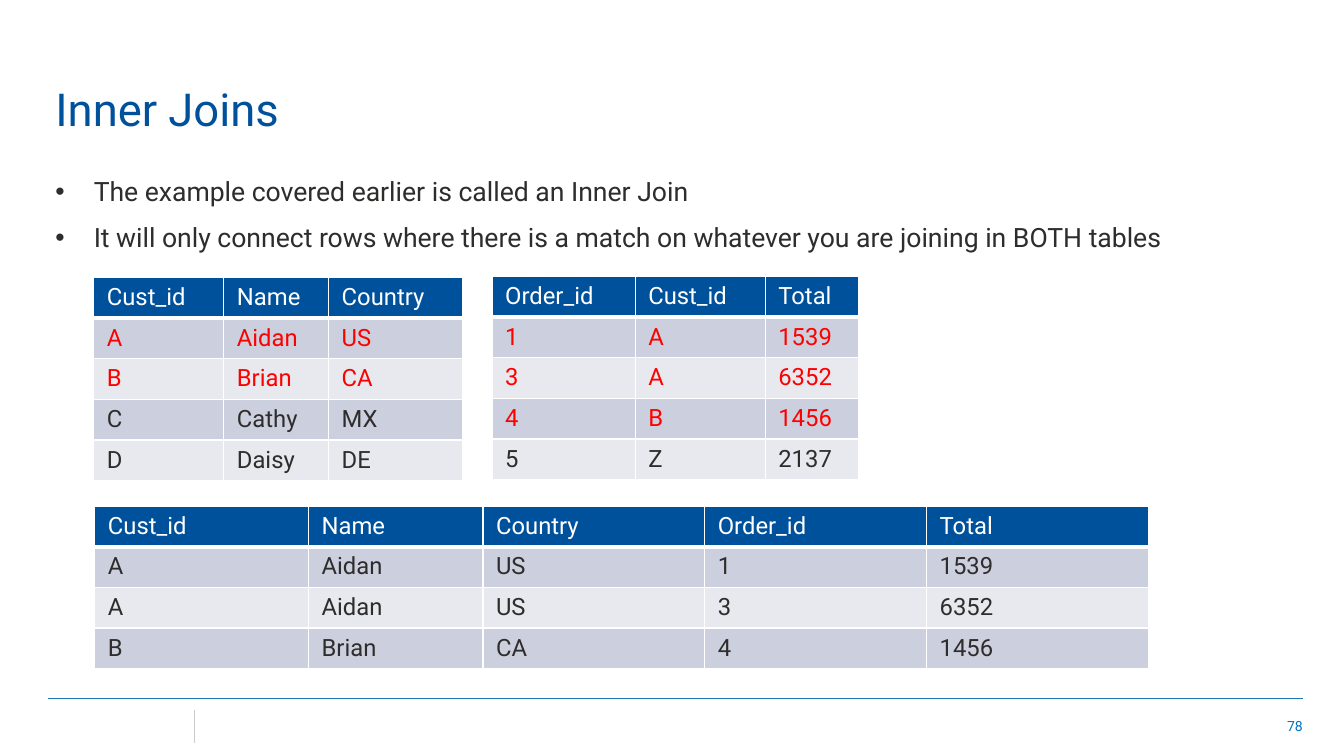
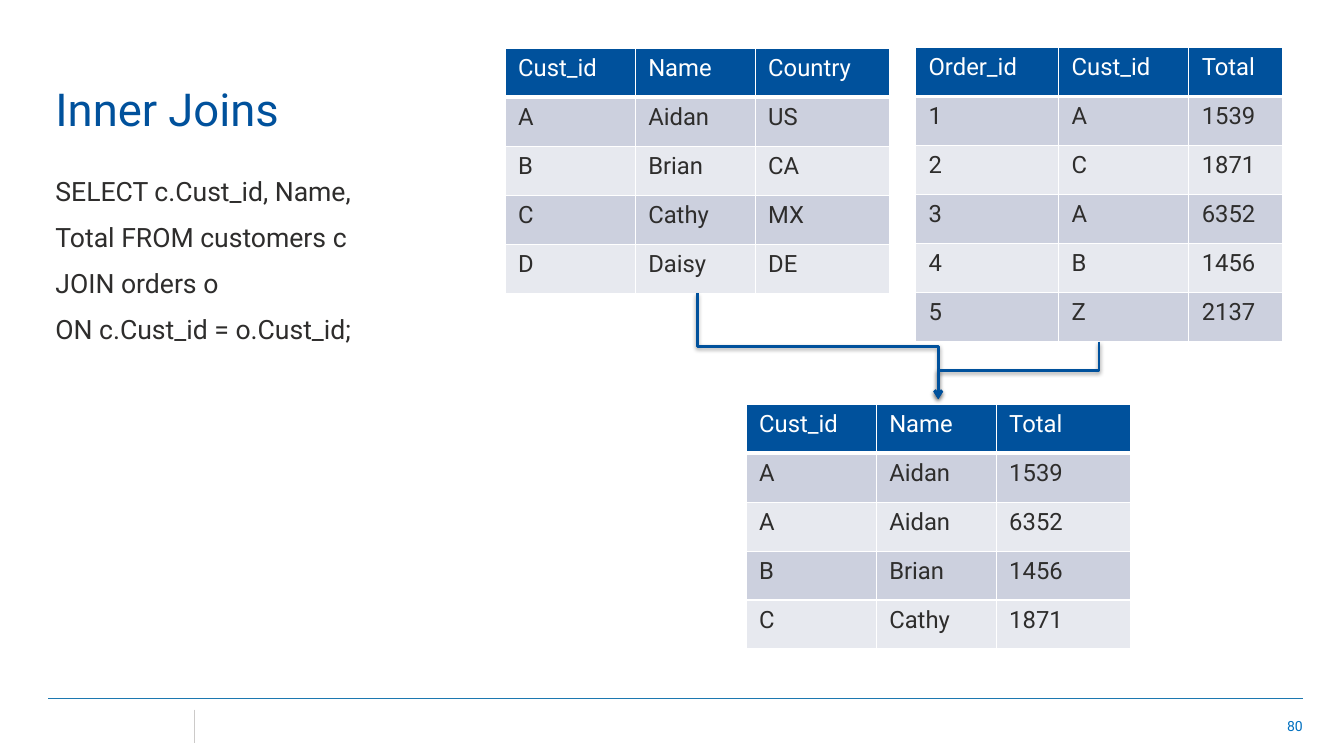
from lxml.etree import SubElement
from pptx import Presentation
from pptx.dml.color import RGBColor
from pptx.enum.shapes import MSO_CONNECTOR
from pptx.enum.text import MSO_ANCHOR, MSO_AUTO_SIZE, PP_ALIGN
from pptx.oxml import parse_xml
from pptx.oxml.ns import nsdecls, qn
from pptx.util import Inches, Pt

FONT = "Roboto"
BLUE, INK, WHITE, RED = "00519C", "2E2D2C", "FFFFFF", "FF0000"
NUMBER_BLUE, RULE_BLUE, RULE_GREY = "0070C0", "1C78B0", "CCCAC9"
BANDS = ("CCD0DE", "E7E9EF")

CUSTOMER_COLUMNS = ("Cust_id", "Name", "Country")
CUSTOMERS = [
    ("A", "Aidan", "US"),
    ("B", "Brian", "CA"),
    ("C", "Cathy", "MX"),
    ("D", "Daisy", "DE"),
]
ORDER_COLUMNS = ("Order_id", "Cust_id", "Total")
ORDERS = [
    ("1", "A", "1539"),
    ("2", "C", "1871"),
    ("3", "A", "6352"),
    ("4", "B", "1456"),
    ("5", "Z", "2137"),
]
ORDER_WIDTHS = (1.42, 1.29, 0.93)


def rgb(color):
    return RGBColor.from_string(color)


def apply_format(target, values):
    for name, value in values.items():
        setattr(target, name, value)


def style_font(font, size, color):
    apply_format(font, {"name": FONT, "size": Pt(size), "bold": False})
    font.color.rgb = rgb(color)


def place(shape, left, top, width, height):
    apply_format(shape, {
        "left": Inches(left), "top": Inches(top),
        "width": Inches(width), "height": Inches(height),
    })


def add_line(slide, start, end, color, width, kind=MSO_CONNECTOR.STRAIGHT):
    """Draw a connector and return it with its empty effect list."""
    line = slide.shapes.add_connector(kind, *map(Inches, start + end))
    line.line.color.rgb = rgb(color)
    line.line.width = Pt(width)
    effects = SubElement(line.element.spPr, qn("a:effectLst"))
    return line, effects


def add_footer(slide, number):
    add_line(slide, (0.48, 6.93), (12.92, 6.93), RULE_BLUE, 0.25)
    add_line(slide, (1.93, 7.04), (1.93, 7.37), RULE_GREY, 0.25)
    box = slide.shapes.add_textbox(*map(Inches, (9.91, 7, 3.11, 0.4)))
    apply_format(box.text_frame, {
        "text": str(number), "word_wrap": True,
        "vertical_anchor": MSO_ANCHOR.MIDDLE,
    })
    paragraph = box.text_frame.paragraphs[0]
    paragraph.alignment = PP_ALIGN.RIGHT
    style_font(paragraph.runs[0].font, 10, NUMBER_BLUE)


def add_title(slide, title):
    heading = slide.shapes.title
    place(heading, 0.45, 0.71, 9.98, 0.69)
    apply_format(heading.text_frame, {
        "text": title, "word_wrap": True, "auto_size": MSO_AUTO_SIZE.NONE,
        "vertical_anchor": MSO_ANCHOR.BOTTOM,
    })
    paragraph = heading.text_frame.paragraphs[0]
    paragraph.alignment = PP_ALIGN.LEFT
    style_font(paragraph.runs[0].font, 32.4, BLUE)


def add_body(slide, box, lines, bulleted):
    body = slide.placeholders[1]
    place(body, *box)
    apply_format(body.text_frame, {
        "text": "\n".join(lines), "word_wrap": True,
        "auto_size": MSO_AUTO_SIZE.NONE,
    })
    indent = Inches(0.38) if bulleted else 0
    for paragraph in body.text_frame.paragraphs:
        apply_format(paragraph, {"space_before": Pt(2), "space_after": Pt(8)})
        style_font(paragraph.runs[0].font, 19, INK)
        properties = paragraph._p.get_or_add_pPr()
        properties.set("marL", str(indent))
        properties.set("indent", str(-indent))
        if not bulleted:
            SubElement(properties, qn("a:buNone"))


def add_borders(cell, bottom):
    properties = cell._tc.get_or_add_tcPr()
    for side, width in {"L": 1, "R": 1, "T": 1, "B": bottom}.items():
        properties.append(parse_xml(
            f'<a:ln{side} {nsdecls("a")} w="{Pt(width)}"><a:solidFill>'
            f'<a:srgbClr val="{WHITE}"/></a:solidFill></a:ln{side}>'))


def fill_cell(cell, text, fill, color, bottom):
    apply_format(cell, {
        "text": text,
        "margin_left": Inches(0.13), "margin_right": Inches(0.13),
        "margin_top": Inches(0.06), "margin_bottom": Inches(0.06),
    })
    add_borders(cell, bottom)
    cell.fill.solid()
    cell.fill.fore_color.rgb = rgb(fill)
    style_font(cell.text_frame.paragraphs[0].runs[0].font, 17, color)


def add_data_table(slide, left, top, height, widths, columns, records, matched=0):
    """Add a banded table with its first `matched` records in red; return its bottom centre."""
    row_count = len(records) + 1
    table = slide.shapes.add_table(
        row_count, len(columns),
        *map(Inches, (left, top, sum(widths), height))).table
    table.horz_banding = False
    for column, width in zip(table.columns, widths):
        column.width = Inches(width)
    for r, record in enumerate([columns, *records]):
        table.rows[r].height = Inches(height / row_count)
        if r == 0:
            fill, color, bottom = BLUE, WHITE, 3
        else:
            fill, bottom = BANDS[(r - 1) % 2], 1
            color = RED if r <= matched else INK
        for c, text in enumerate(record):
            fill_cell(table.cell(r, c), text, fill, color, bottom)
    return left + sum(widths) / 2, top + height


def add_down_arrow(slide, start, end):
    """Draw an elbow arrow that leaves and arrives vertically."""
    (x1, y1), (x2, y2) = start, end
    middle_x, middle_y = (x1 + x2) / 2, (y1 + y2) / 2
    rightward = x2 > x1
    half_width = (y2 - y1) / 2 * (1 if rightward else -1)
    half_height = abs(x2 - x1) / 2
    arrow, effects = add_line(
        slide, (middle_x + half_width, middle_y - half_height),
        (middle_x - half_width, middle_y + half_height),
        BLUE, 2, MSO_CONNECTOR.ELBOW)
    turn = 270 if rightward else 90
    arrow.element.spPr.find(qn("a:xfrm")).set("rot", str(turn * 60000))
    SubElement(arrow.line._get_or_add_ln(), qn("a:tailEnd"), type="arrow")
    shadow = SubElement(effects, qn("a:outerShdw"), blurRad="40000",
                        dist="20000", dir="5400000", rotWithShape="0")
    black = SubElement(shadow, qn("a:srgbClr"), val="000000")
    SubElement(black, qn("a:alpha"), val="38000")


def add_join_slide(prs, number):
    slide = prs.slides.add_slide(prs.slide_layouts[1])
    add_footer(slide, number)
    add_title(slide, "Inner Joins")
    return slide


def build_matching_slide(prs):
    slide = add_join_slide(prs, 78)
    add_body(slide, (0.45, 1.69, 12.47, 4.97), [
        "The example covered earlier is called an Inner Join",
        "It will only connect rows where there is a match on whatever "
        "you are joining in BOTH tables",
    ], bulleted=True)
    add_data_table(slide, 0.93, 2.75, 2.02, (1.29, 1.04, 1.33),
                   CUSTOMER_COLUMNS, CUSTOMERS, matched=2)
    add_data_table(slide, 4.88, 2.74, 2.02, ORDER_WIDTHS, ORDER_COLUMNS,
                   [order for order in ORDERS if order[0] != "2"], matched=3)
    add_data_table(slide, 0.94, 5.02, 1.61, (2.12, 1.73, 2.2, 2.2, 2.2),
                   (*CUSTOMER_COLUMNS, "Order_id", "Total"), [
                       ("A", "Aidan", "US", "1", "1539"),
                       ("A", "Aidan", "US", "3", "6352"),
                       ("B", "Brian", "CA", "4", "1456"),
                   ])


def build_query_slide(prs):
    slide = add_join_slide(prs, 80)
    add_body(slide, (0.45, 1.69, 3.84, 3.58), [
        "SELECT c.Cust_id, Name,",
        "Total FROM customers c",
        "JOIN orders o",
        "ON c.Cust_id = o.Cust_id;",
    ], bulleted=False)
    widths = (1.29, 1.19, 1.33)
    customers_foot = add_data_table(slide, 5.01, 0.48, 2.43, widths,
                                    CUSTOMER_COLUMNS, CUSTOMERS)
    orders_foot = add_data_table(slide, 9.08, 0.47, 2.92, ORDER_WIDTHS,
                                 ORDER_COLUMNS, ORDERS)
    result_left, result_top = 7.4, 4.01
    result_head = (result_left + sum(widths) / 2, result_top - 0.05)
    for foot in (customers_foot, orders_foot):
        add_down_arrow(slide, foot, result_head)
    add_data_table(slide, result_left, result_top, 2.43, widths,
                   ("Cust_id", "Name", "Total"), [
                       ("A", "Aidan", "1539"),
                       ("A", "Aidan", "6352"),
                       ("B", "Brian", "1456"),
                       ("C", "Cathy", "1871"),
                   ])


def main():
    prs = Presentation()
    apply_format(prs, {"slide_width": Inches(13.33), "slide_height": Inches(7.5)})
    build_matching_slide(prs)
    build_query_slide(prs)
    prs.save("out.pptx")


if __name__ == "__main__":
    main()
